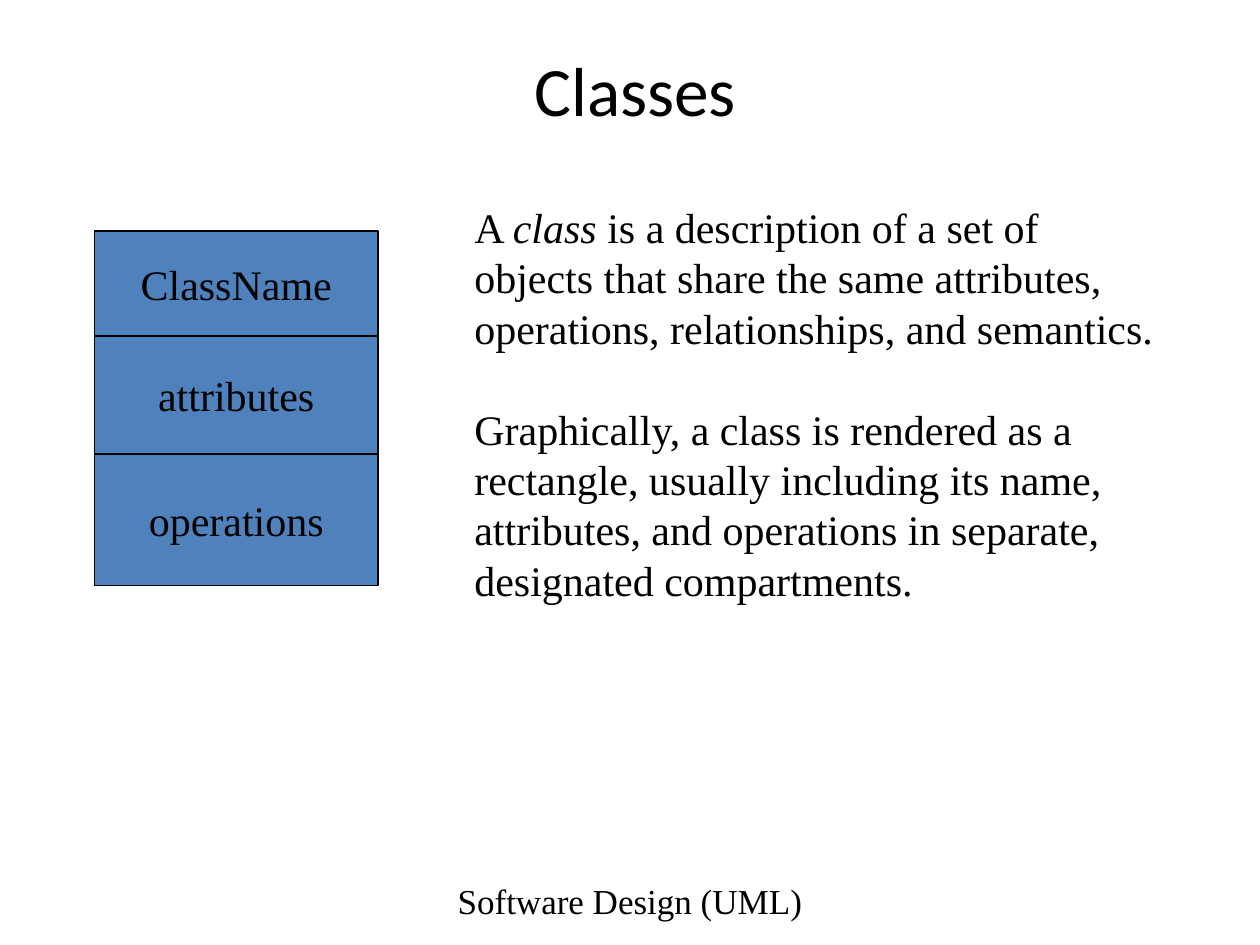
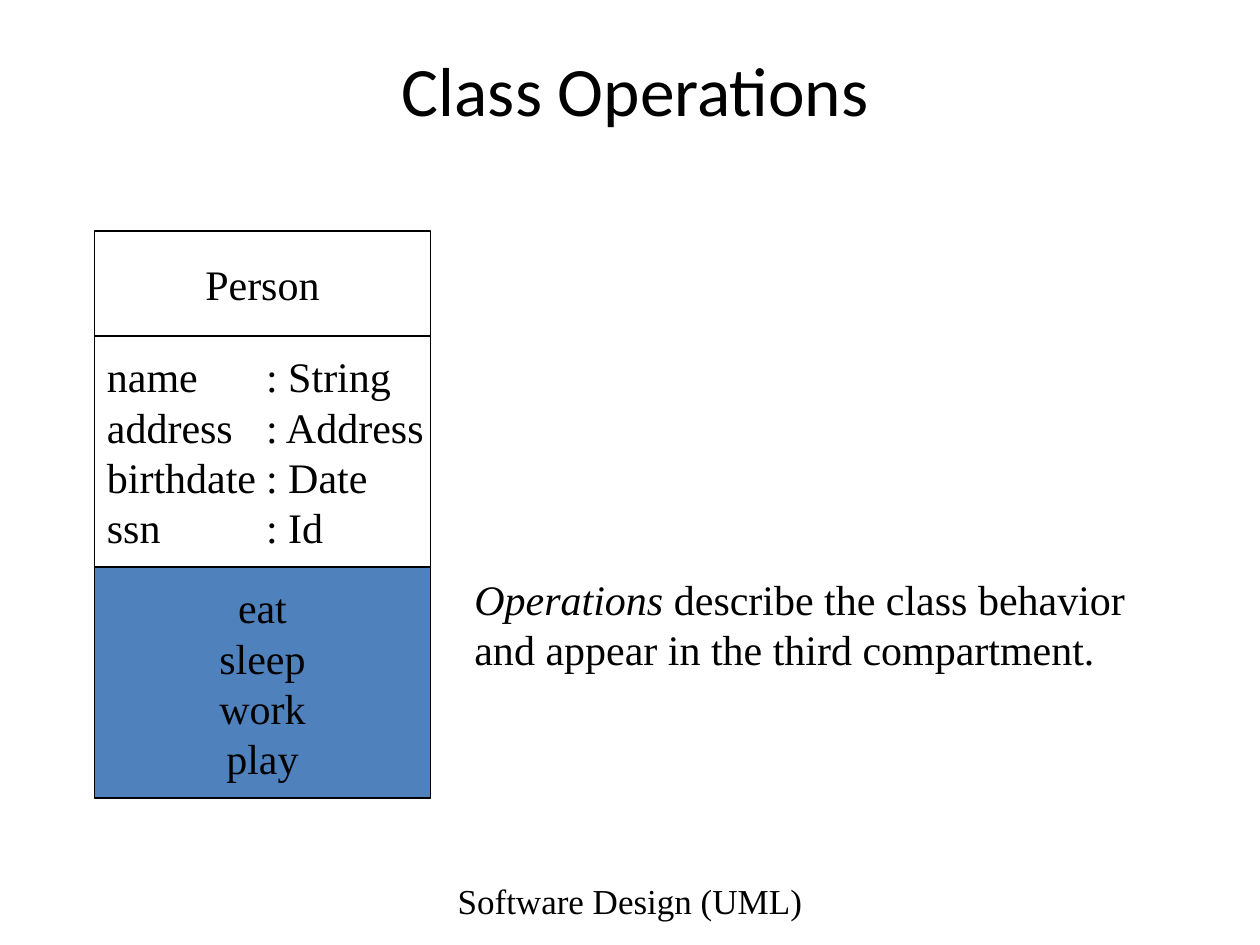
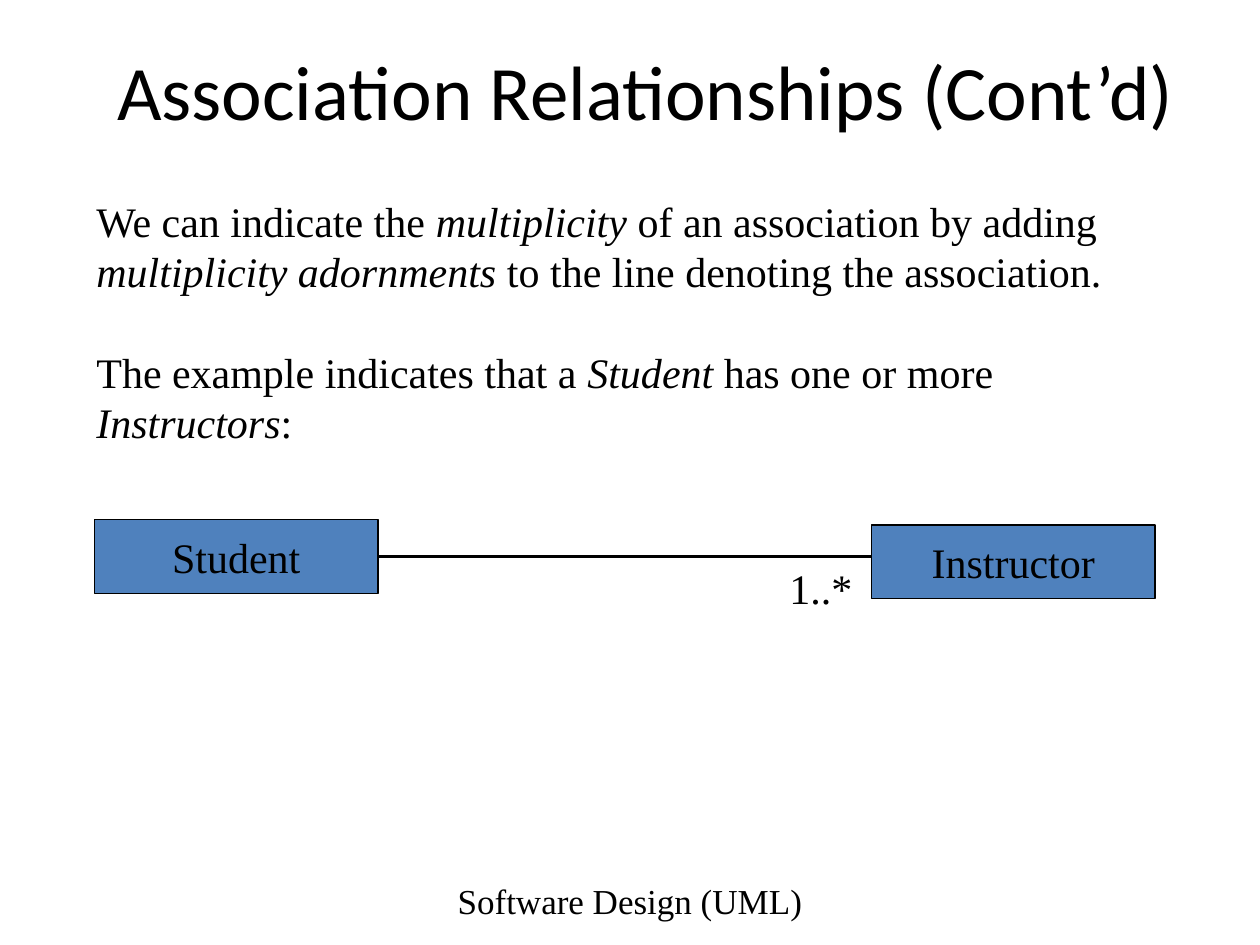
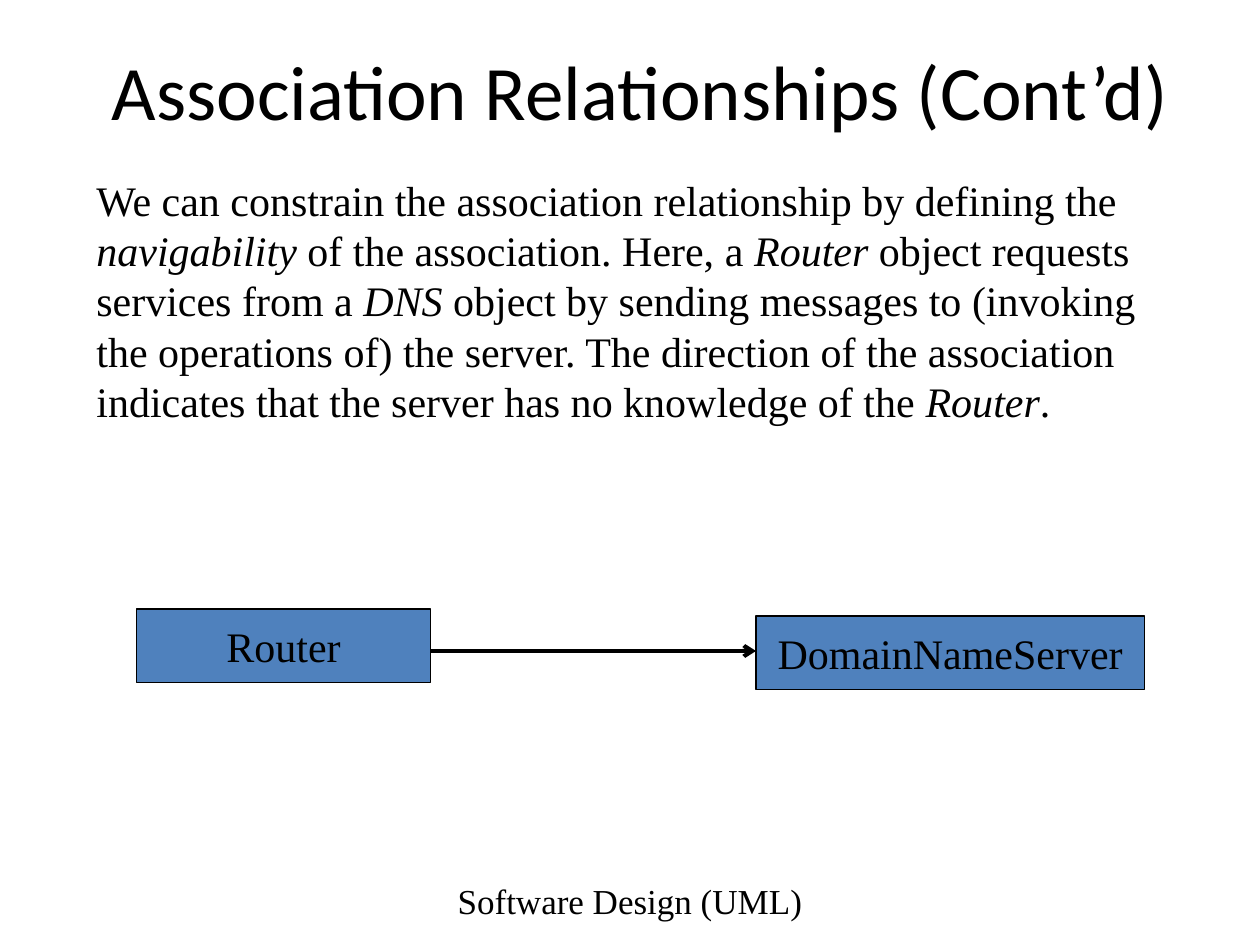
from pptx import Presentation
from pptx.dml.color import RGBColor
from pptx.enum import shapes as sh, text as tx
from pptx.oxml import ns
from pptx.util import Pt
from lxml import etree

BLACK, WHITE, BLUE = "000000", "FFFFFF", "4F81BD"
SERIF, SANS = "Times New Roman", "Calibri"
LEFT, MID = tx.PP_ALIGN.LEFT, tx.PP_ALIGN.CENTER


def hue(code):
    return RGBColor.from_string(code)


def write(frame, words, size=24, face=SERIF, align=LEFT, anchor=tx.MSO_ANCHOR.TOP, wrap=True):
    frame.word_wrap = wrap
    frame.auto_size = tx.MSO_AUTO_SIZE.NONE
    frame.vertical_anchor = anchor
    para = None
    for block in words.split("\n\n"):
        for row, line in enumerate(block.split("\n")):
            first = para is None
            para = frame.paragraphs[0] if first else frame.add_paragraph()
            para.alignment = align
            if row == 0 and not first:
                para.space_before = Pt(28.8)
            if "\t" in line:
                tabs = etree.SubElement(para._p.get_or_add_pPr(), ns.qn("a:tabLst"))
                etree.SubElement(tabs, ns.qn("a:tab"), pos=str(Pt(91)), algn="l")
            para.font.size = Pt(size)
            para.font.name = face
            para.font.color.rgb = hue(BLACK)
            for spot, part in enumerate(line.split("_")):
                if part:
                    run = para.add_run()
                    run.text = part
                    if spot % 2:
                        run.font.italic = True


pages = [
    {
        "title": ("Classes", 54, 618, 39.6),
        "texts": [(264, 111.6, 437, 237.6,
                   "A _class_ is a description of a set of\n"
                   "objects that share the same attributes,\n"
                   "operations, relationships, and semantics.\n\n"
                   "Graphically, a class is rendered as a\n"
                   "rectangle, usually including its name,\n"
                   "attributes, and operations in separate,\n"
                   "designated compartments.")],
        "boxes": [(54, 132, 162, 60, BLUE, MID, "ClassName"),
                  (54, 192, 162, 67.5, BLUE, MID, "attributes"),
                  (54, 259.5, 162, 75, BLUE, MID, "operations")],
    },
    {
        "title": ("Class Operations", 54, 618, 39.6),
        "texts": [(264, 324, 392.4, 64.8,
                   "_Operations _describe the class behavior\n"
                   "and appear in the third compartment.")],
        "boxes": [(54, 132, 192, 60, WHITE, MID, "Person"),
                  (54, 192, 192, 132, WHITE, LEFT,
                   "name\t: String\naddress\t: Address\nbirthdate\t: Date\nssn\t: Id"),
                  (54, 324, 192, 132, BLUE, MID, "eat\nsleep\nwork\nplay")],
    },
    {
        "title": ("Association Relationships (Cont’d)", 48, 642, 44),
        "texts": [(48, 108, 638.4, 151.2,
                   "We can indicate the _multiplicity_ of an association by adding "
                   "_multiplicity adornments_ to the line denoting the association.\n\n"
                   "The example indicates that a _Student_ has one or more _Instructors_:"),
                  (444, 318, 54, 36, "1..*")],
        "link": (216, 504, 318, False),
        "boxes": [(498, 300, 162, 42, BLUE, MID, "Instructor"),
                  (54, 297, 162, 42, BLUE, MID, "Student")],
    },
    {
        "title": ("Association Relationships (Cont’d)", 48, 636, 44),
        "texts": [(48, 96, 638.4, 151.2,
                   "We can constrain the association relationship by defining the "
                   "_navigability_ of the association. Here, a _Router_ object requests "
                   "services from a _DNS_ object by sending messages to (invoking the "
                   "operations of) the server. The direction of the association indicates "
                   "that the server has no knowledge of the _Router_.")],
        "link": (246, 432, 372, True),
        "boxes": [(78, 348, 168, 42, BLUE, MID, "Router"),
                  (432, 352, 222, 42, BLUE, MID, "DomainNameServer")],
    },
]

deck = Presentation()
deck.slide_width, deck.slide_height = Pt(720), Pt(540)

for page in pages:
    slide = deck.slides.add_slide(deck.slide_layouts[5])
    items = slide.shapes

    words, left, width, size = page["title"]
    title = items.title
    title.left, title.top, title.width, title.height = Pt(left), Pt(30), Pt(width), Pt(42)
    write(title.text_frame, words, size, SANS, MID, tx.MSO_ANCHOR.MIDDLE)

    foot = items.add_textbox(Pt(246), Pt(500.4), Pt(228), Pt(28.8))
    write(foot.text_frame, "Software Design (UML)", 20, SERIF, MID, tx.MSO_ANCHOR.MIDDLE)

    for *place, words in page["texts"]:
        note = items.add_textbox(*map(Pt, place))
        write(note.text_frame, words)

    if "link" in page:
        start, end, level, arrow = page["link"]
        link = items.add_connector(sh.MSO_CONNECTOR.STRAIGHT, Pt(start), Pt(level), Pt(end), Pt(level))
        link.line.color.rgb = hue(BLACK)
        link.line.width = Pt(2.25)
        if arrow:
            etree.SubElement(link.line._get_or_add_ln(), ns.qn("a:tailEnd"), type="arrow")
        etree.SubElement(link._element.spPr, ns.qn("a:effectLst"))

    for *place, fill, align, words in page["boxes"]:
        box = items.add_shape(sh.MSO_SHAPE.RECTANGLE, *map(Pt, place))
        box.shadow.inherit = False
        box.fill.solid()
        box.fill.fore_color.rgb = hue(fill)
        box.line.color.rgb = hue(BLACK)
        box.line.width = Pt(0.75)
        write(box.text_frame, words, align=align, anchor=tx.MSO_ANCHOR.MIDDLE, wrap=False)

deck.save("out.pptx")
